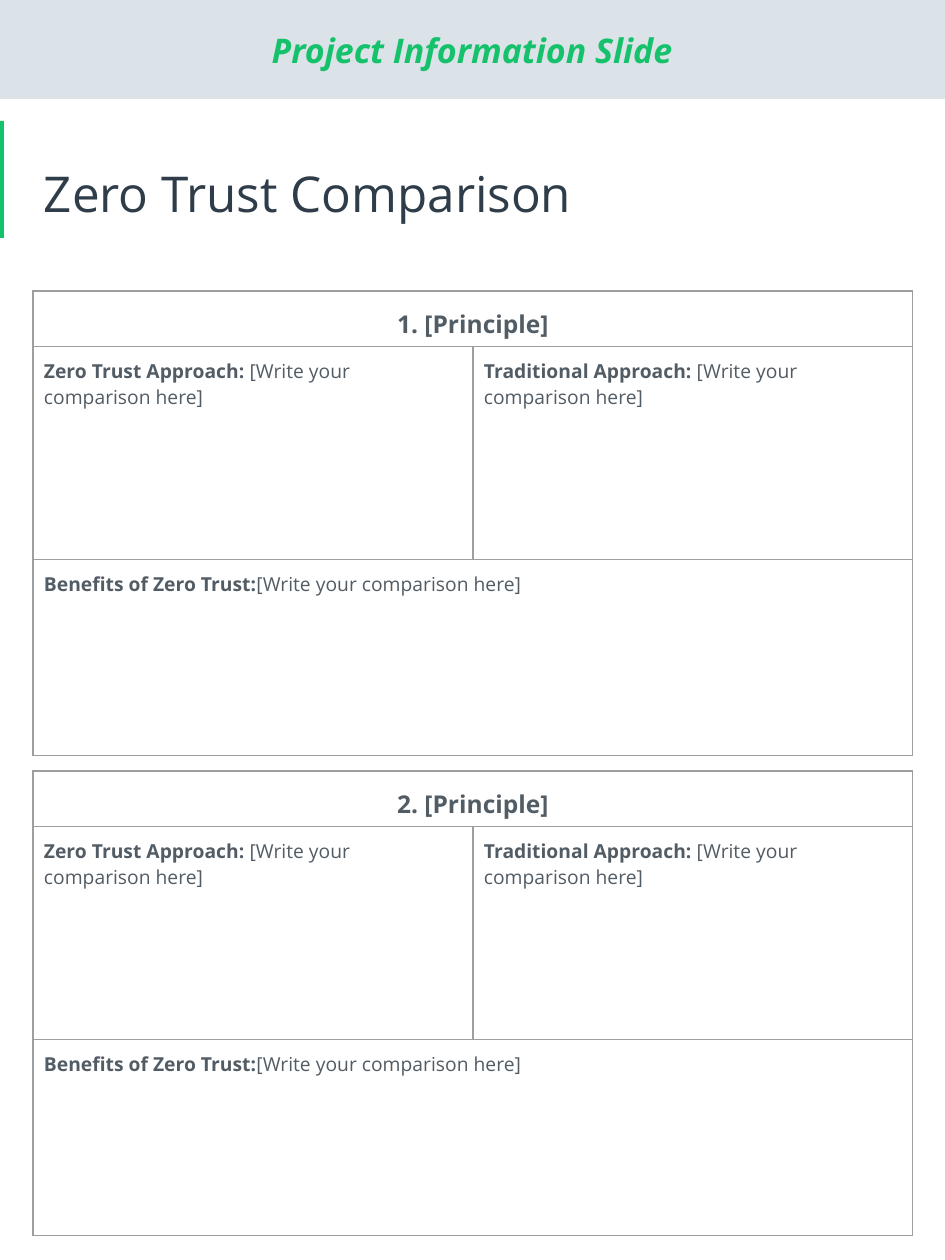
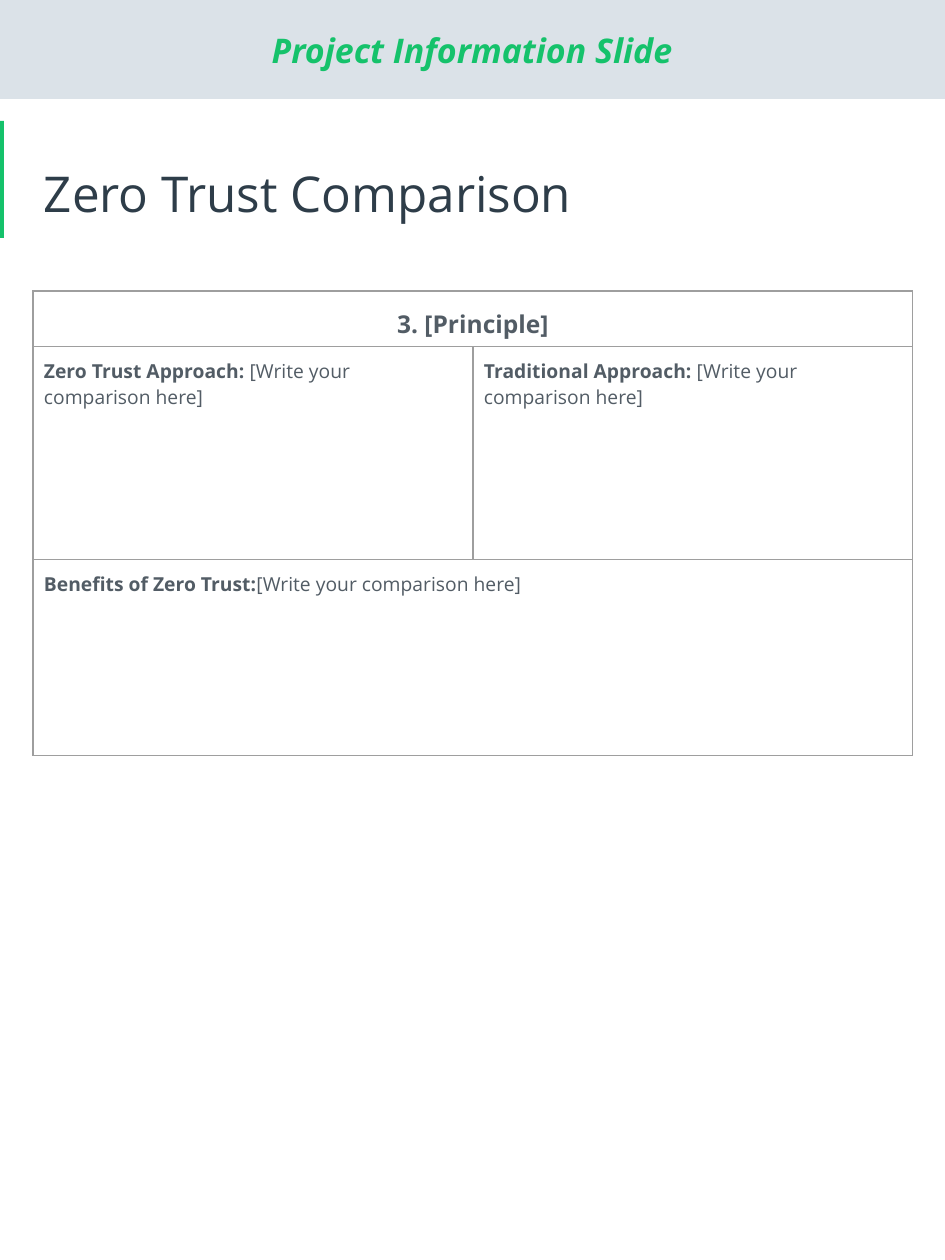
from lxml.etree import SubElement
from pptx import Presentation
from pptx.dml.color import RGBColor
from pptx.enum.shapes import MSO_SHAPE
from pptx.enum.text import MSO_ANCHOR, PP_ALIGN
from pptx.oxml.ns import qn
from pptx.util import Emu, Pt

PX_PER_INCH = 126
SLIDE_WIDTH, SLIDE_HEIGHT = 945, 1260

GREEN = RGBColor(0x15, 0xC2, 0x6B)
PALE_BLUE = RGBColor(0xDB, 0xE2, 0xE8)
NAVY = RGBColor(0x2E, 0x3D, 0x49)
SLATE = RGBColor(0x52, 0x5C, 0x65)
BORDER_GREY = RGBColor(0x9E, 0x9E, 0x9E)

FONT = "Open Sans"
BANNER_FORMAT = {"size": Pt(19.4), "bold": True, "italic": True, "color": GREEN}
TITLE_FORMAT = {"size": Pt(28.2), "color": NAVY}
PRINCIPLE_FORMAT = {"size": Pt(14), "bold": True, "color": SLATE}
LABEL_FORMAT = {"size": Pt(11), "bold": True, "color": SLATE}
PROMPT_FORMAT = {**LABEL_FORMAT, "bold": False}

LEFT = 33
INSET = 11
COLUMN_WIDTH = 440
CONTENT_WIDTH = 2 * COLUMN_WIDTH
ROW_HEIGHTS = (54, 213, 196)
FIRST_TABLE_TOP = 291
TABLE_PITCH = 480

PROMPT = "[Write your comparison here]"
SLIDE_PRINCIPLES = (("1. [Principle]", "2. [Principle]"), ("3. [Principle]",))


def px(length):
    return Emu(round(length * 914400 / PX_PER_INCH))


def box(*lengths):
    return [px(length) for length in lengths]


def add_run(paragraph, text, values):
    run = paragraph.add_run()
    run.text = text
    run.font.name = FONT
    for attribute, value in values.items():
        if attribute == "color":
            run.font.color.rgb = value
        else:
            setattr(run.font, attribute, value)


def set_insets(holder):
    """Give a text frame or a table cell the common inner margin."""
    for side in ("left", "top", "right", "bottom"):
        setattr(holder, f"margin_{side}", px(INSET))


def prepare_frame(frame):
    frame.word_wrap = True
    frame.vertical_anchor = MSO_ANCHOR.MIDDLE
    set_insets(frame)
    return frame.paragraphs[0]


def add_bar(slide, bounds, color):
    bar = slide.shapes.add_shape(MSO_SHAPE.RECTANGLE, *box(*bounds))
    bar.shadow.inherit = False
    bar.fill.solid()
    bar.fill.fore_color.rgb = color
    bar.line.fill.background()
    return bar


def add_heading(slide, title):
    """Draw the banner, the green accent and the slide title."""
    add_bar(slide, (0, 121, 4, 117), GREEN)
    banner = add_bar(slide, (0, 0, SLIDE_WIDTH, 99), PALE_BLUE)
    banner_line = prepare_frame(banner.text_frame)
    banner_line.alignment = PP_ALIGN.CENTER
    add_run(banner_line, "Project Information Slide", BANNER_FORMAT)

    title_box = slide.shapes.add_textbox(*box(LEFT, 125, CONTENT_WIDTH, 136))
    add_run(prepare_frame(title_box.text_frame), title, TITLE_FORMAT)


def style_cell(cell):
    set_insets(cell)
    properties = cell._tc.get_or_add_tcPr()
    for side in ("lnL", "lnR", "lnT", "lnB"):
        border = SubElement(properties, qn(f"a:{side}"), w=str(Pt(0.75)))
        fill = SubElement(border, qn("a:solidFill"))
        SubElement(fill, qn("a:srgbClr"), val=str(BORDER_GREY))
    cell.fill.background()


def write_comparison(cell, label, prompt):
    paragraph = cell.text_frame.paragraphs[0]
    add_run(paragraph, label, LABEL_FORMAT)
    add_run(paragraph, prompt, PROMPT_FORMAT)


def add_principle_table(slide, top, principle):
    bounds = box(LEFT, top, CONTENT_WIDTH, sum(ROW_HEIGHTS))
    table = slide.shapes.add_table(len(ROW_HEIGHTS), 2, *bounds).table
    table.first_row = table.horz_banding = False
    for column in table.columns:
        column.width = px(COLUMN_WIDTH)
    for row, height in zip(table.rows, ROW_HEIGHTS):
        row.height = px(height)
    for cell in table.iter_cells():
        style_cell(cell)
    for row in (0, 2):
        table.cell(row, 0).merge(table.cell(row, 1))

    heading = table.cell(0, 0).text_frame.paragraphs[0]
    heading.alignment = PP_ALIGN.CENTER
    heading.line_spacing = 1.15
    add_run(heading, principle, PRINCIPLE_FORMAT)
    write_comparison(table.cell(1, 0), "Zero Trust Approach:", f" {PROMPT}")
    write_comparison(table.cell(1, 1), "Traditional Approach:", f" {PROMPT}")
    write_comparison(table.cell(2, 0), "Benefits of Zero Trust:", PROMPT)


def main():
    deck = Presentation()
    deck.slide_width, deck.slide_height = box(SLIDE_WIDTH, SLIDE_HEIGHT)
    blank_layout = deck.slide_layouts[6]
    for principles in SLIDE_PRINCIPLES:
        slide = deck.slides.add_slide(blank_layout)
        add_heading(slide, "Zero Trust Comparison")
        for index, principle in enumerate(principles):
            add_principle_table(slide, FIRST_TABLE_TOP + index * TABLE_PITCH, principle)
    deck.save("out.pptx")


if __name__ == "__main__":
    main()
